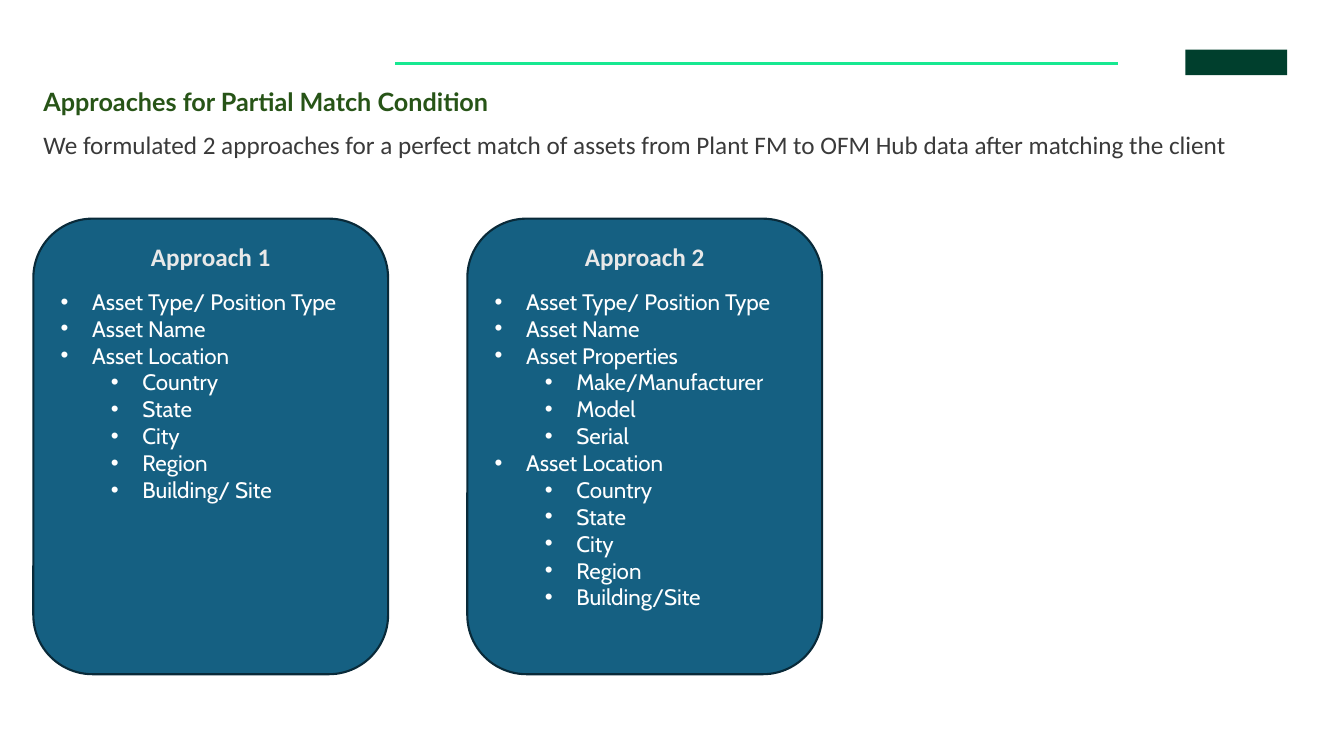
from lxml import etree
from pptx import Presentation
from pptx.dml.color import RGBColor
from pptx.enum.shapes import MSO_CONNECTOR, MSO_SHAPE
from pptx.enum.text import MSO_ANCHOR, MSO_AUTO_SIZE, PP_ALIGN
from pptx.oxml.ns import qn
from pptx.util import Pt

STRAIGHT = MSO_CONNECTOR.STRAIGHT
RECTANGLE = MSO_SHAPE.RECTANGLE
ROUNDED = MSO_SHAPE.ROUNDED_RECTANGLE
TOP = MSO_ANCHOR.TOP
LEFT, CENTER, JUSTIFY = PP_ALIGN.LEFT, PP_ALIGN.CENTER, PP_ALIGN.JUSTIFY

COLORS = {
    "accent": "17E891",
    "brand": "003F2D",
    "title": "275417",
    "statement": "3A3A3A",
    "card": "156082",
    "card_edge": "092A39",
    "card_heading": "E8E8E8",
    "card_item": "FFFFFF",
}

LOCATION = "Asset Location"
PLACES = ["Country", "State", "City", "Region"]
COMMON = [("Asset Type/ Position Type", []), ("Asset Name", [])]
APPROACHES = [
    ("Approach 1", COMMON + [(LOCATION, PLACES + ["Building/ Site"])]),
    ("Approach 2", COMMON + [
        ("Asset Properties", ["Make/Manufacturer", "Model", "Serial"]),
        (LOCATION, PLACES + ["Building/Site"]),
    ]),
]

CARD_LEFT, CARD_TOP, CARD_WIDTH, CARD_HEIGHT = 23.8, 156.2, 253.4, 325.4
CARD_PITCH = 310
HANGING, LEVEL_STEP = 22.5, 36


def color(name):
    return RGBColor.from_string(COLORS[name])


def style(paragraph, font_name, size, color_name, bold=False, align=LEFT):
    paragraph.alignment = align
    for run in paragraph.runs:
        run.font.name = font_name
        run.font.size = Pt(size)
        run.font.bold = bold
        run.font.color.rgb = color(color_name)


def fill_placeholder(placeholder, box, text, **look):
    """Move a placeholder and give it one unbulleted line of text."""
    placeholder.left, placeholder.top, placeholder.width, placeholder.height = map(Pt, box)
    frame = placeholder.text_frame
    frame.text = text
    frame.word_wrap = True
    frame.auto_size = MSO_AUTO_SIZE.NONE
    frame.vertical_anchor = TOP
    line = frame.paragraphs[0]
    line.space_before = Pt(0)
    properties = line._p.get_or_add_pPr()
    properties.set("marL", "0")
    properties.set("indent", "0")
    etree.SubElement(properties, qn("a:buNone"))
    style(line, size=18, **look)


def add_rule(slide, left, right, y):
    rule = slide.shapes.add_connector(STRAIGHT, Pt(left), Pt(y), Pt(right), Pt(y))
    rule.line.color.rgb = color("accent")
    rule.line.width = Pt(2.5)
    etree.SubElement(rule._element.spPr, qn("a:effectLst"))


def add_block(slide, preset, box, fill):
    block = slide.shapes.add_shape(preset, *map(Pt, box))
    block.shadow.inherit = False
    block.fill.solid()
    block.fill.fore_color.rgb = color(fill)
    block.line.fill.background()
    return block


def add_bullet(frame, text, level):
    item = frame.add_paragraph()
    item.text = text
    item.level = level
    properties = item._p.get_or_add_pPr()
    properties.set("marL", str(Pt(HANGING + level * LEVEL_STEP)))
    properties.set("indent", str(-Pt(HANGING)))
    etree.SubElement(properties, qn("a:buFont"), typeface="Arial")
    etree.SubElement(properties, qn("a:buChar"), char="•")
    style(item, "Cabin", 16, "card_item")


def add_card(slide, left, heading, criteria):
    card = add_block(slide, ROUNDED, (left, CARD_TOP, CARD_WIDTH, CARD_HEIGHT), "card")
    card.line.color.rgb = color("card_edge")
    card.line.width = Pt(1.5)
    frame = card.text_frame
    frame.word_wrap = True
    frame.vertical_anchor = TOP
    frame.text = heading
    frame.paragraphs[0].space_after = Pt(12)
    style(frame.paragraphs[0], "Calibri", 18, "card_heading", bold=True, align=CENTER)
    for criterion, details in criteria:
        add_bullet(frame, criterion, 0)
        for detail in details:
            add_bullet(frame, detail, 1)


def main():
    deck = Presentation()
    deck.slide_width, deck.slide_height = Pt(960), Pt(540)
    slide = deck.slides.add_slide(deck.slide_layouts[1])

    add_rule(slide, 282.2, 798.5, 45.2)
    add_block(slide, RECTANGLE, (846.7, 35.5, 72.7, 18.2), "brand")
    fill_placeholder(
        slide.shapes.title, (23.8, 58.3, 501, 29),
        "Approaches for Partial Match Condition",
        font_name="Lato", color_name="title", bold=True)
    fill_placeholder(
        slide.placeholders[1], (23.8, 88.6, 913, 160),
        "We formulated 2 approaches for a perfect match of assets from "
        "Plant FM to OFM Hub data after matching the client",
        font_name="Calibri", color_name="statement", align=JUSTIFY)
    for index, (heading, criteria) in enumerate(APPROACHES):
        add_card(slide, CARD_LEFT + index * CARD_PITCH, heading, criteria)

    deck.save("out.pptx")


if __name__ == "__main__":
    main()
